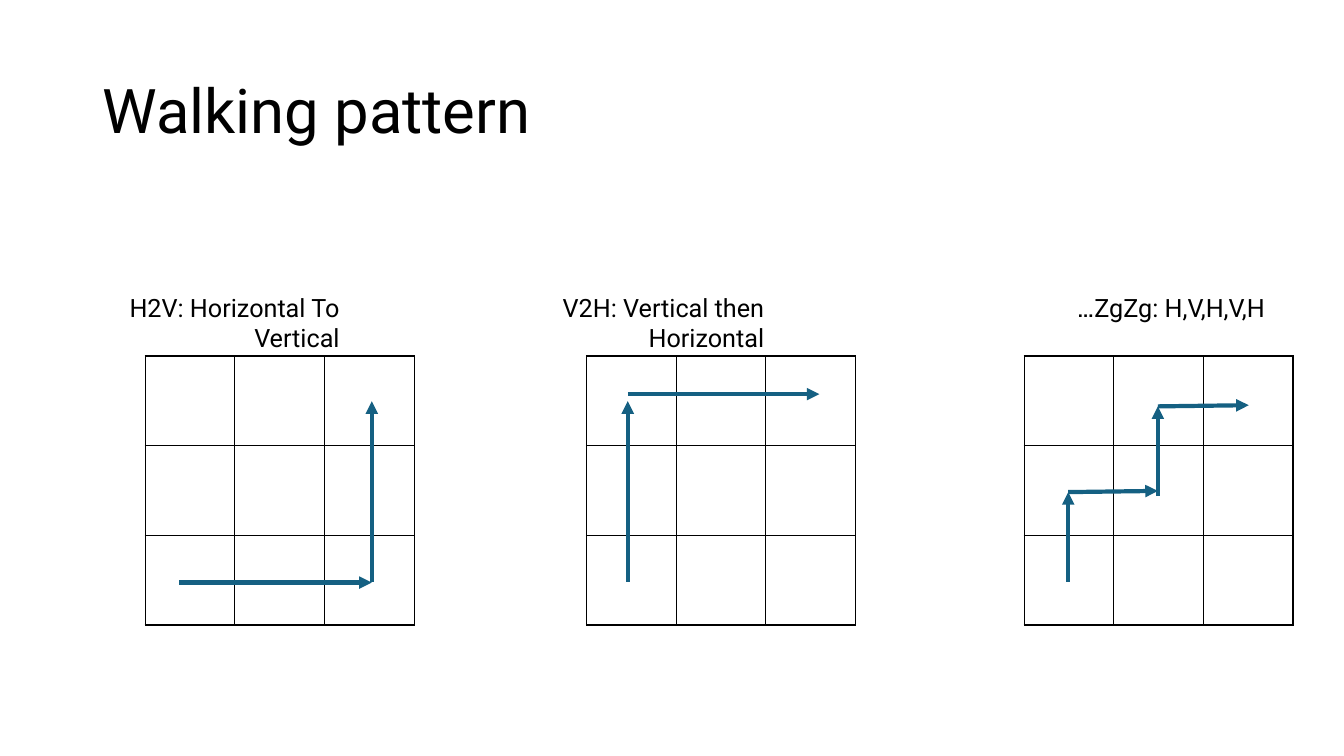
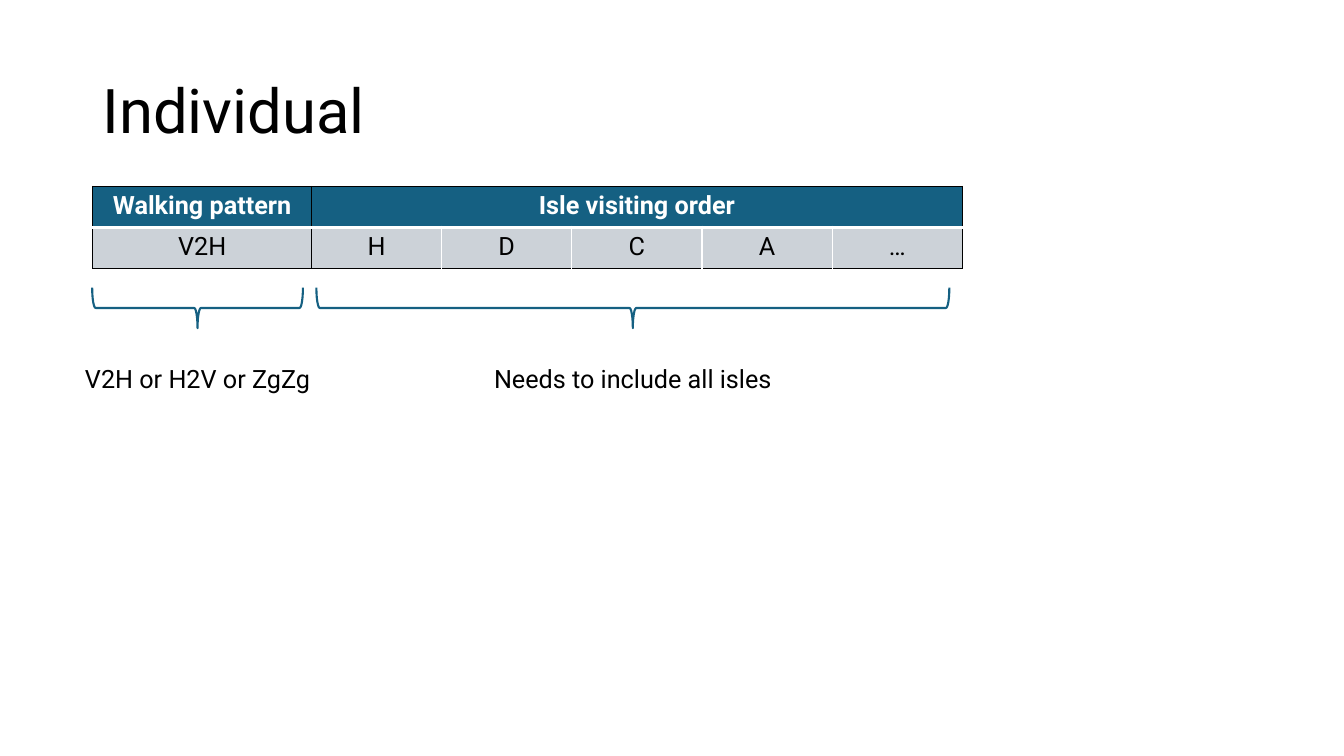
from lxml.etree import SubElement
from pptx import Presentation
from pptx.dml.color import RGBColor
from pptx.enum.shapes import MSO_CONNECTOR, MSO_SHAPE
from pptx.enum.text import MSO_ANCHOR, MSO_AUTO_SIZE, PP_ALIGN
from pptx.oxml.ns import qn
from pptx.util import Cm, Pt

COLORS = {"ink": "000000", "paper": "FFFFFF", "accent": "156082", "band": "CCD2D8"}
FONT = "Roboto"
SIDES = {"left": "a:lnL", "right": "a:lnR", "top": "a:lnT", "bottom": "a:lnB"}

CELL = 2.26
GRID_TOP = 8.97
CAPTION_WIDTH = 6.1
PATTERNS = [
    ("H2V: Horizontal To Vertical", 8.81, 3.66,
     [((4.52, 14.68), (9.37, 14.68)), ((9.37, 14.66), (9.37, 10.11))]),
    ("V2H: Vertical then Horizontal", 19.51, 14.78,
     [((15.82, 9.93), (20.65, 9.93)), ((15.82, 14.66), (15.82, 10.11))]),
    ("ZgZg: H,V,H,V,H…", 32.13, 25.81,
     [((26.92, 14.66), (26.92, 12.4)), ((26.92, 12.4), (29.18, 12.37)),
      ((29.18, 12.5), (29.18, 10.24)), ((29.18, 10.24), (31.47, 10.21))]),
]
GENES = ["V2H", "H", "D", "C", "A", "…"]
GENE_WIDTHS = [5.51] + [3.28] * 5
EXPLANATIONS = [
    ("V2H or H2V or ZgZg", 4.98, 5.31, 6.25),
    ("Needs to include all isles", 15.95, 15.95, 7.54),
]


def rgb(name):
    return RGBColor.from_string(COLORS[name])


def assign(target, values):
    for attribute, value in values.items():
        setattr(target, attribute, value)


class Deck:
    """Holds the style and the current slide, and draws each kind of element."""

    def __init__(self):
        self.presentation = Presentation()
        assign(self.presentation, {"slide_width": Cm(33.87), "slide_height": Cm(19.05)})
        self.slide = None

    def put_text(self, frame, text, size=18, color="ink", bold=False,
                 align=PP_ALIGN.CENTER, spacing=1.0):
        paragraph = frame.paragraphs[0]
        assign(paragraph, {"alignment": align, "line_spacing": spacing})
        run = paragraph.add_run()
        run.text = text
        assign(run.font, {"name": FONT, "size": Pt(size), "bold": bold})
        run.font.color.rgb = rgb(color)
        return paragraph

    def start(self, heading):
        self.slide = self.presentation.slides.add_slide(self.presentation.slide_layouts[5])
        title = self.slide.shapes.title
        assign(title, {"left": Cm(2.33), "top": Cm(1.01),
                       "width": Cm(29.21), "height": Cm(3.68)})
        assign(title.text_frame, {"vertical_anchor": MSO_ANCHOR.MIDDLE,
                                  "auto_size": MSO_AUTO_SIZE.NONE, "word_wrap": True})
        self.put_text(title.text_frame, heading, size=44, align=PP_ALIGN.LEFT, spacing=0.9)

    def label(self, text, left, top, width, rtl=False):
        box = self.slide.shapes.add_textbox(Cm(left), Cm(top), Cm(width), Cm(1.03))
        box.text_frame.word_wrap = True
        align = PP_ALIGN.RIGHT if rtl else PP_ALIGN.CENTER
        paragraph = self.put_text(box.text_frame, text, align=align)
        if rtl:
            paragraph._p.get_or_add_pPr().set("rtl", "1")

    def table(self, left, top, widths, heights):
        frame = self.slide.shapes.add_table(
            len(heights), len(widths), Cm(left), Cm(top), Cm(sum(widths)), Cm(sum(heights)))
        table = frame.table
        assign(table, {"first_row": False, "horz_banding": False})
        for column, width in zip(table.columns, widths):
            column.width = Cm(width)
        for row, height in zip(table.rows, heights):
            row.height = Cm(height)
        return table

    def paint(self, cell, fill=None, bottom_width=1, **borders):
        properties = cell._tc.get_or_add_tcPr()
        for side, tag in SIDES.items():
            points = bottom_width if side == "bottom" else 1
            edge = SubElement(properties, qn(tag), w=str(Pt(points)))
            edge_fill = SubElement(edge, qn("a:solidFill"))
            SubElement(edge_fill, qn("a:srgbClr"), val=COLORS[borders.get(side, "ink")])
        if fill:
            cell.fill.solid()
            cell.fill.fore_color.rgb = rgb(fill)
        else:
            cell.fill.background()

    def arrow(self, start, end):
        points = [Cm(value) for value in (*start, *end)]
        step = self.slide.shapes.add_connector(MSO_CONNECTOR.STRAIGHT, *points)
        step.line.color.rgb = rgb("accent")
        step.line.width = Pt(3)
        properties = step._element.spPr
        SubElement(properties.find(qn("a:ln")), qn("a:tailEnd"), type="triangle")
        SubElement(properties, qn("a:effectLst"))

    def brace(self, center, middle, length, depth=1.02):
        brace = self.slide.shapes.add_shape(
            MSO_SHAPE.LEFT_BRACE, Cm(center - depth / 2), Cm(middle - length / 2),
            Cm(depth), Cm(length))
        brace.rotation = 270
        brace.shadow.inherit = False
        brace.fill.background()
        brace.line.color.rgb = rgb("accent")
        brace.line.width = Pt(1.5)


def walking_patterns(deck):
    deck.start("Walking pattern")
    for caption, caption_right, grid_left, steps in PATTERNS:
        grid = deck.table(grid_left, GRID_TOP, [CELL] * 3, [CELL] * 3)
        for cell in grid.iter_cells():
            deck.paint(cell)
        for start, end in steps:
            deck.arrow(start, end)
        deck.label(caption, caption_right - CAPTION_WIDTH, 7.24, CAPTION_WIDTH, rtl=True)


def individual(deck):
    deck.start("Individual")
    genome = deck.table(2.34, 4.7, GENE_WIDTHS, [1.03, 1.03])
    genome.first_row = True
    last = len(GENES) - 1
    genome.cell(0, 1).merge(genome.cell(0, last))
    for column, heading in enumerate(["Walking pattern", "Isle visiting order"]):
        cell = genome.cell(0, column)
        deck.paint(cell, "accent", bottom_width=3, bottom="paper")
        deck.put_text(cell.text_frame, heading, color="paper", bold=True)
    for column, gene in enumerate(GENES):
        cell = genome.cell(1, column)
        deck.paint(cell, "band", top="paper",
                   left="ink" if column < 2 else "paper",
                   right="ink" if column in (0, last) else "paper")
        deck.put_text(cell.text_frame, gene)
    for text, center, length, width in EXPLANATIONS:
        deck.brace(center, 7.76, length)
        deck.label(text, center - width / 2, 9.02, width)


def main():
    deck = Deck()
    walking_patterns(deck)
    individual(deck)
    deck.presentation.save("out.pptx")


if __name__ == "__main__":
    main()
